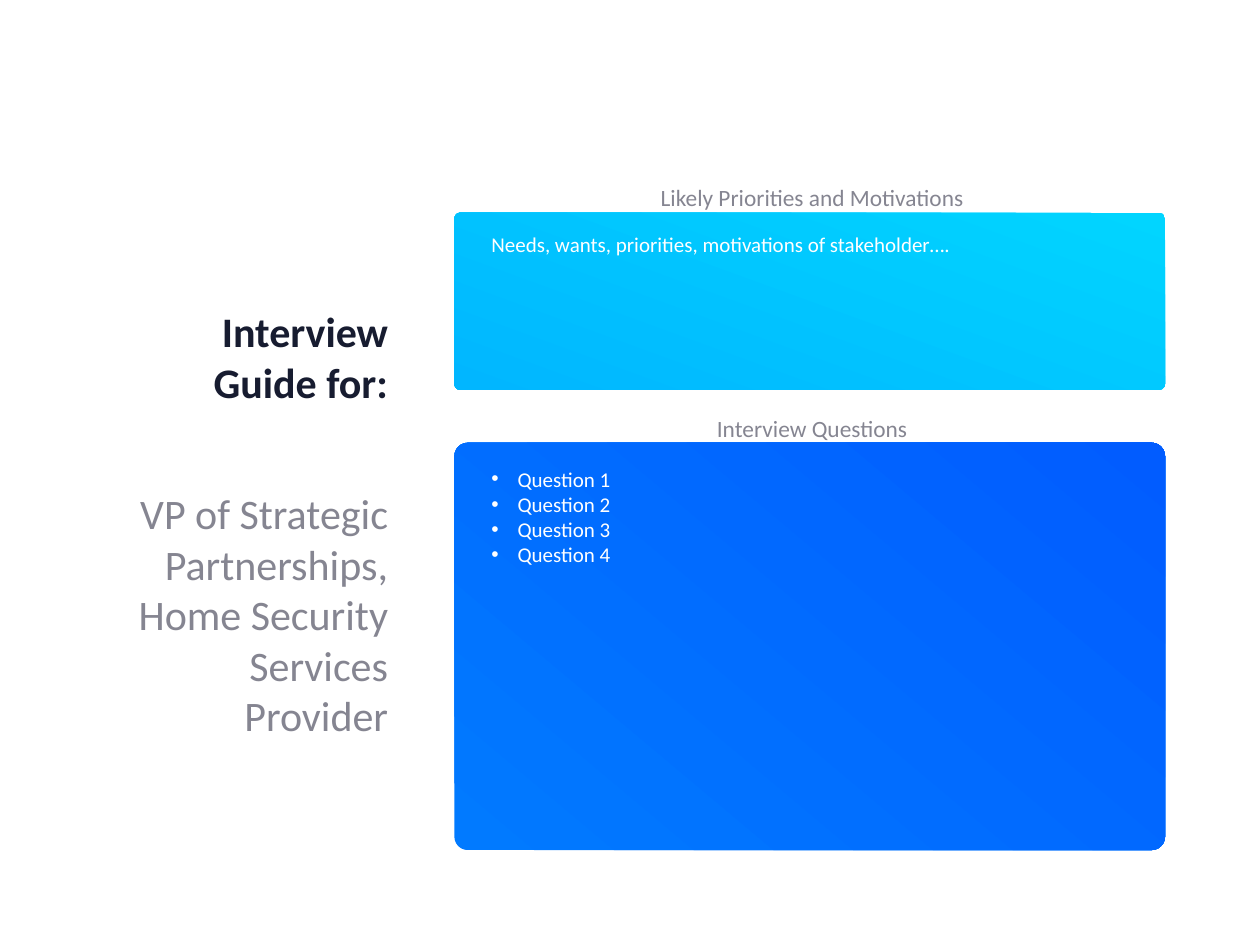
"""Build an interview guide slide with a priorities panel and a questions panel."""
import pptx
import pptx.dml.color
import pptx.enum.shapes
import pptx.enum.text
import pptx.oxml.ns
import pptx.util
from lxml import etree

Cm = pptx.util.Cm
RGBColor = pptx.dml.color.RGBColor
ALIGN = pptx.enum.text.PP_ALIGN

NAVY = RGBColor(0x17, 0x1C, 0x30)
GREY = RGBColor(0x85, 0x85, 0x91)
WHITE = RGBColor(0xFF, 0xFF, 0xFF)
BLUE_START = RGBColor(0x01, 0x7A, 0xFF)
BLUE_END = RGBColor(0x01, 0x5C, 0xFF)
CYAN_START = RGBColor(0x01, 0xD5, 0xFF)
CYAN_END = RGBColor(0x01, 0xB6, 0xFF)

PANEL_LEFT, PANEL_WIDTH = 13.74, 21.49
TEXT_LEFT, TEXT_WIDTH, LABEL_WIDTH = 14.61, 19.79, 19.89
BULLET_INDENT = Cm(0.79)


def set_values(target, values):
    """Set each named attribute of the target."""
    for name, value in values.items():
        setattr(target, name, value)


def place(box, left, top, width, height):
    """Position and size a box in centimetres."""
    set_values(box, {"left": Cm(left), "top": Cm(top),
                     "width": Cm(width), "height": Cm(height)})


def add_bullet(para):
    """Give a paragraph a round bullet with a hanging indent."""
    properties = para._p.get_or_add_pPr()
    properties.set("marL", str(BULLET_INDENT))
    properties.set("indent", str(-BULLET_INDENT))
    for tag, attribute, value in (("a:buFont", "typeface", "Arial"),
                                  ("a:buChar", "char", "•")):
        bullet = etree.SubElement(properties, pptx.oxml.ns.qn(tag))
        bullet.set(attribute, value)


def write_text(box, lines, size, color, align=ALIGN.LEFT, bold=False, bulleted=False):
    """Fill a box with formatted paragraphs."""
    frame = box.text_frame
    set_values(frame, {"text": "\n".join(lines), "word_wrap": True,
                       "auto_size": pptx.enum.text.MSO_AUTO_SIZE.SHAPE_TO_FIT_TEXT,
                       "vertical_anchor": pptx.enum.text.MSO_ANCHOR.TOP})
    for para in frame.paragraphs:
        para.alignment = align
        if bulleted:
            add_bullet(para)
        for span in para.runs:
            set_values(span.font, {"name": "Calibri", "size": pptx.util.Pt(size),
                                   "bold": bold})
            span.font.color.rgb = color


def add_text(page, bounds, lines, size, color, **options):
    """Add a text box at the given bounds."""
    box = page.shapes.add_textbox(*map(Cm, bounds))
    write_text(box, lines, size, color, **options)


def add_panel(page, top, height, colors, angle):
    """Add a rounded panel with a two-colour gradient."""
    panel = page.shapes.add_shape(
        pptx.enum.shapes.MSO_SHAPE.ROUNDED_RECTANGLE,
        Cm(PANEL_LEFT), Cm(top), Cm(PANEL_WIDTH), Cm(height))
    panel.adjustments[0] = 0.033
    panel.shadow.inherit = False
    panel.line.fill.background()
    panel.fill.gradient()
    panel.fill.gradient_angle = angle
    for stop, color in zip(panel.fill.gradient_stops, colors):
        stop.color.rgb = color


def main():
    """Build and save the slide."""
    deck = pptx.Presentation()
    set_values(deck, {"slide_width": Cm(38.1), "slide_height": Cm(28.58)})
    page = deck.slides.add_slide(deck.slide_layouts.get_by_name("Title Only"))

    title = page.shapes.title
    place(title, 3.28, 9.12, 8.71, 3.33)
    write_text(title, ["Interview Guide for:"], 36, NAVY, align=ALIGN.RIGHT, bold=True)
    add_text(page, (3.81, 14.63, 8.18, 7.95),
             ["VP of Strategic Partnerships, Home Security Services Provider"],
             36, GREY, align=ALIGN.RIGHT)

    add_panel(page, 13.39, 12.32, (BLUE_START, BLUE_END), 50)
    add_text(page, (TEXT_LEFT, 13.97, TEXT_WIDTH, 4.11),
             [f"Question {number}" for number in range(1, 5)],
             18, WHITE, bulleted=True)

    add_panel(page, 6.43, 5.36, (CYAN_START, CYAN_END), 250)
    add_text(page, (TEXT_LEFT, 6.88, TEXT_WIDTH, 1.02),
             ["Needs, wants, priorities, motivations of stakeholder…."], 18, WHITE)

    for top, label in ((12.4, "Interview Questions"),
                       (5.41, "Likely Priorities and Motivations")):
        add_text(page, (TEXT_LEFT, top, LABEL_WIDTH, 1.12), [label],
                 20, GREY, align=ALIGN.CENTER)

    deck.save("out.pptx")


if __name__ == "__main__":
    main()
